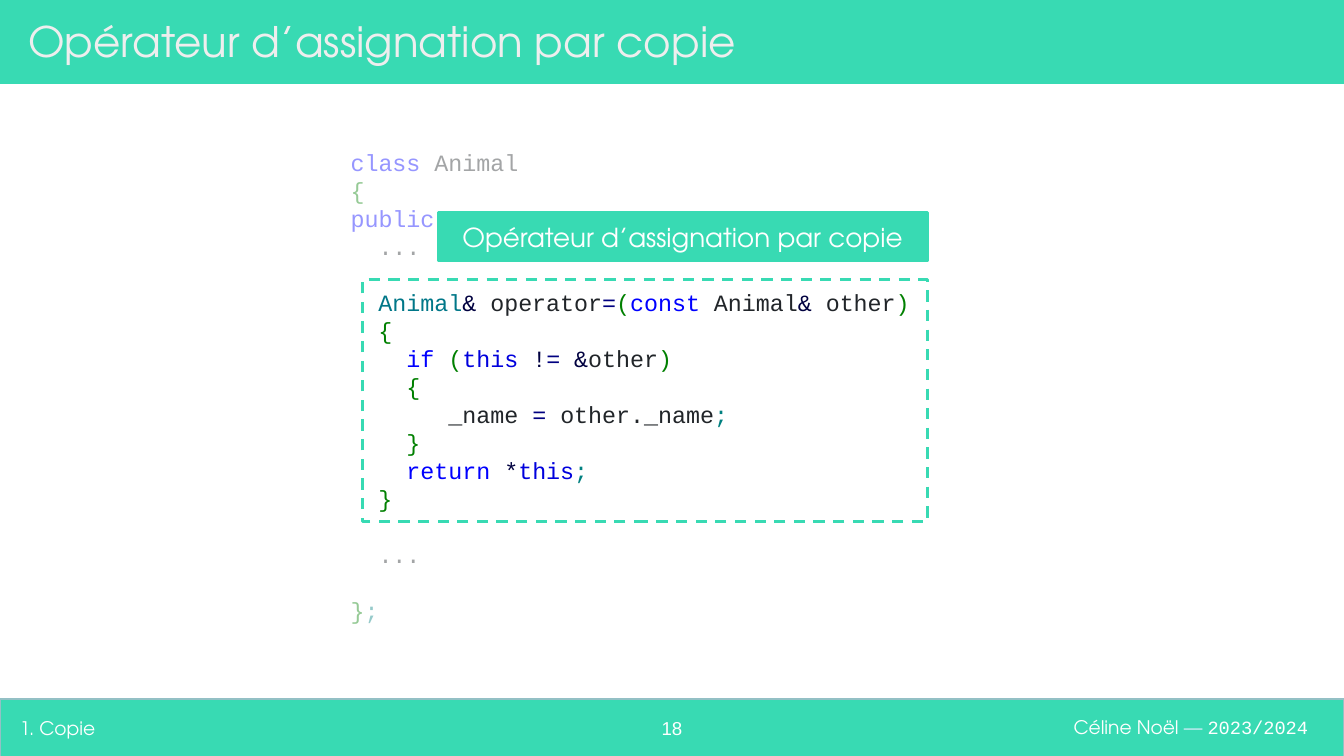
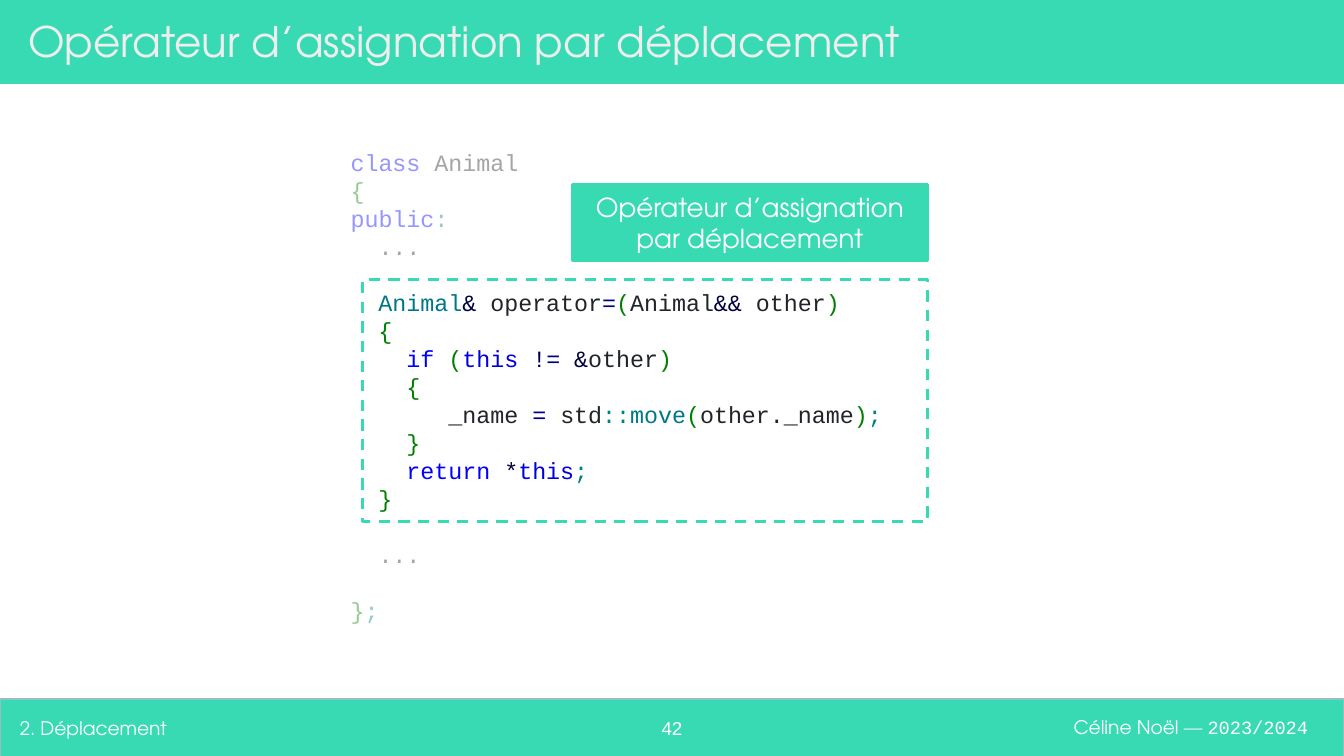
import pptx
import pptx.util
import pptx.dml.color
import pptx.enum.dml
import pptx.enum.shapes
import pptx.enum.text
import pptx.oxml
import pptx.oxml.ns

Pt = pptx.util.Pt
ALIGN = pptx.enum.text.PP_ALIGN
ANCHOR = pptx.enum.text.MSO_ANCHOR
SHAPE = pptx.enum.shapes.MSO_SHAPE

COLORS = {
    "teal": "38DAB3", "band_line": "93C0C5", "white": "FFFFFF",
    "title": "EEEEEE", "dash": "E2EEFF",
    # code tokens
    "plain": "212529", "keyword": "0000FF", "this": "0000DD",
    "bracket": "008000", "punct": "008080", "name": "007788",
    "symbol": "000040", "assign": "000080",
}
SANS, MONO, NUMBER = "TeX Gyre Adventor", "Courier New", "Arial"
INSET = 7.2
CODE_SIZE, CODE_PITCH = 12.5, 15

SLIDE = (0, 0, 720, 405)
HEADER = (0, 0, 720, 45)
FOOTER = (0, 374.4, 720, 31.5)
CODE_BOX = (180.7, 72, 337.7, 272.2)

BLANK = None  # an empty line of code
HEAD = [
    [("class", "keyword"), (" Animal", "plain")],
    [("{", "bracket")],
    [("public", "keyword"), (":", "punct")],
    [("  ...", "plain")],
    BLANK,
]
BODY_START = [
    [("  ", "plain"), ("{", "bracket")],
    [("    ", "plain"), ("if ", "keyword"), ("(", "bracket"), ("this ", "this"),
     ("!", "symbol"), ("= ", "assign"), ("&", "symbol"), ("other", "plain"),
     (")", "bracket")],
    [("    ", "plain"), ("{", "bracket")],
]
TAIL = [
    [("    ", "plain"), ("}", "bracket")],
    [("    ", "plain"), ("return ", "keyword"), ("*", "symbol"), ("this", "this"),
     (";", "punct")],
    [("  ", "plain"), ("}", "bracket")],
    BLANK,
    [("  ...", "plain")],
    BLANK,
    [("}", "bracket"), (";", "punct")],
]
ASSIGN = [("       _name ", "plain"), ("=", "assign")]


def operator_code(parameter, value):
    """Class listing whose operator takes `parameter` and assigns `value`."""
    signature = [("  ", "plain"), ("Animal", "name"), ("&", "symbol"),
                 (" operator", "plain"), ("=", "assign"), ("(", "bracket"),
                 *parameter, (" other", "plain"), (")", "bracket")]
    assignment = ASSIGN + value + [(";", "punct")]
    return HEAD + [signature] + BODY_START + [assignment] + TAIL


SLIDES = [
    {
        "title": "Opérateur d’assignation par copie",
        "section": "1. Copie",
        "number": "18",
        "label": "Opérateur d’assignation par copie",
        "label_size": (262, 26),
        "code": operator_code(
            [("const", "keyword"), (" Animal", "plain"), ("&", "symbol")],
            [(" other._name", "plain")]),
    },
    {
        "title": "Opérateur d’assignation par déplacement",
        "section": "2. Déplacement",
        "number": "42",
        "label": "Opérateur d’assignation\npar déplacement",
        "label_size": (190, 41),
        "code": operator_code(
            [("Animal", "plain"), ("&&", "symbol")],
            [(" std", "plain"), ("::", "punct"), ("move", "name"),
             ("(", "bracket"), ("other._name", "plain"), (")", "bracket")]),
    },
]


def rgb(name):
    return pptx.dml.color.RGBColor.from_string(COLORS[name])


def add_run(p, text, size, color, font=SANS):
    r = p.add_run()
    r.text = text
    r.font.size = Pt(size)
    r.font.name = font
    r.font.color.rgb = rgb(color)


def format_frame(sp, anchor=ANCHOR.MIDDLE):
    tf = sp.text_frame
    tf.word_wrap = True
    tf.auto_size = pptx.enum.text.MSO_AUTO_SIZE.NONE
    tf.vertical_anchor = anchor
    tf.margin_left = tf.margin_right = tf.margin_top = tf.margin_bottom = Pt(INSET)
    return tf


def add_text(slide, box, align=ALIGN.LEFT, anchor=ANCHOR.MIDDLE):
    sp = slide.shapes.add_textbox(*map(Pt, box))
    tf = format_frame(sp, anchor)
    tf.paragraphs[0].alignment = align
    return sp


def add_box(slide, box, fill=None, line=None, width=1.5, kind=SHAPE.RECTANGLE):
    sp = slide.shapes.add_shape(kind, *map(Pt, box))
    sp.shadow.inherit = False
    if fill:
        sp.fill.solid()
        sp.fill.fore_color.rgb = rgb(fill)
    else:
        sp.fill.background()
    if line:
        sp.line.color.rgb = rgb(line)
        sp.line.width = Pt(width)
    else:
        sp.line.fill.background()
    return sp


def add_veil(slide, box):
    """Translucent white sheet that fades the code under it."""
    sp = add_box(slide, box, fill="white")
    color = sp.fill._xPr.find(".//" + pptx.oxml.ns.qn("a:srgbClr"))
    alpha = pptx.oxml.parse_xml(
        "<a:alpha %s val='59000'/>" % pptx.oxml.ns.nsdecls("a"))
    color.append(alpha)


def build_layout(layout, slide):
    """Draw the shared bands on a slide, then move them to its layout."""
    for ph in list(layout.placeholders):
        if ph.placeholder_format.idx != 0:
            ph.element.getparent().remove(ph.element)
    x, y, w, h = FOOTER
    footer = add_box(slide, FOOTER, "teal", "band_line", 0.75)
    author = add_text(slide, (x + w - 203, y - 0.7, 190.8, h), ALIGN.RIGHT)
    p = author.text_frame.paragraphs[0]
    add_run(p, "Céline Noël ", 10, "white")
    add_run(p, "— ", 10, "dash")
    add_run(p, "2023/2024", 10, "white", MONO)
    header = add_box(slide, HEADER, "teal")
    for sp in (footer, author, header):
        layout.shapes.element.append(sp.element)


def fill_header(slide, box, title):
    x, y, w, h = box
    sp = slide.shapes.title
    sp.left, sp.top, sp.width, sp.height = map(Pt, (x + 8, y + 4.3, w - 37.5, 34.6))
    p = format_frame(sp).paragraphs[0]
    p.alignment = ALIGN.LEFT
    add_run(p, title, 22.5, "title")


def fill_footer(slide, box, section, number):
    x, y, w, h = box
    sp = add_text(slide, (x + w / 2 - 21.6, y + 2.2, 43.2, 26), ALIGN.CENTER, ANCHOR.TOP)
    add_run(sp.text_frame.paragraphs[0], number, 10, "white", NUMBER)
    sp = add_text(slide, (x + 3.6, y, 327, h))
    add_run(sp.text_frame.paragraphs[0], section, 10, "white")


def add_code(slide, box, lines):
    tf = add_text(slide, box, anchor=ANCHOR.TOP).text_frame
    tf.auto_size = pptx.enum.text.MSO_AUTO_SIZE.SHAPE_TO_FIT_TEXT
    p, gap = tf.paragraphs[0], 0
    for i, line in enumerate(lines):
        if line is BLANK:
            gap += CODE_PITCH
            continue
        if i:
            p = tf.add_paragraph()
        p.line_spacing = Pt(CODE_PITCH)
        if gap:
            p.space_before = Pt(gap)
            gap = 0
        for text, token in line:
            add_run(p, text, CODE_SIZE, token, MONO)


def add_label(slide, box, text):
    sp = add_box(slide, box, "teal", "teal", kind=SHAPE.FLOWCHART_PROCESS)
    p = format_frame(sp).paragraphs[0]
    p.alignment = ALIGN.CENTER
    for i, line in enumerate(text.split("\n")):
        if i:
            p.add_line_break()
        add_run(p, line, 14, "white")


def code_panel(slide, box, code, label, label_size):
    """Faded listing with the operator framed and labelled."""
    x, y, w, h = box
    add_code(slide, box, code)
    add_veil(slide, (x - 7.2, y - 9.4, 334.8, 82))
    add_veil(slide, (x + 1.4, y + 211.7, 334.8, 82))
    fx, fy, fw, fh = x + 13.7, y + 77.8, 302.4, 129.6
    frame = add_box(slide, (fx, fy, fw, fh), line="teal")
    frame.line.dash_style = pptx.enum.dml.MSO_LINE.DASH
    lw, lh = label_size
    add_label(slide, (fx + fw - lw, fy - 10 - lh, lw, lh), label)


def main():
    prs = pptx.Presentation()
    prs.slide_width, prs.slide_height = map(Pt, SLIDE[2:])
    layout = prs.slide_layouts[5]
    for i, content in enumerate(SLIDES):
        slide = prs.slides.add_slide(layout)
        if i == 0:
            build_layout(layout, slide)
        fill_header(slide, HEADER, content["title"])
        fill_footer(slide, FOOTER, content["section"], content["number"])
        code_panel(slide, CODE_BOX, content["code"], content["label"],
                   content["label_size"])
    prs.save("out.pptx")


if __name__ == "__main__":
    main()
